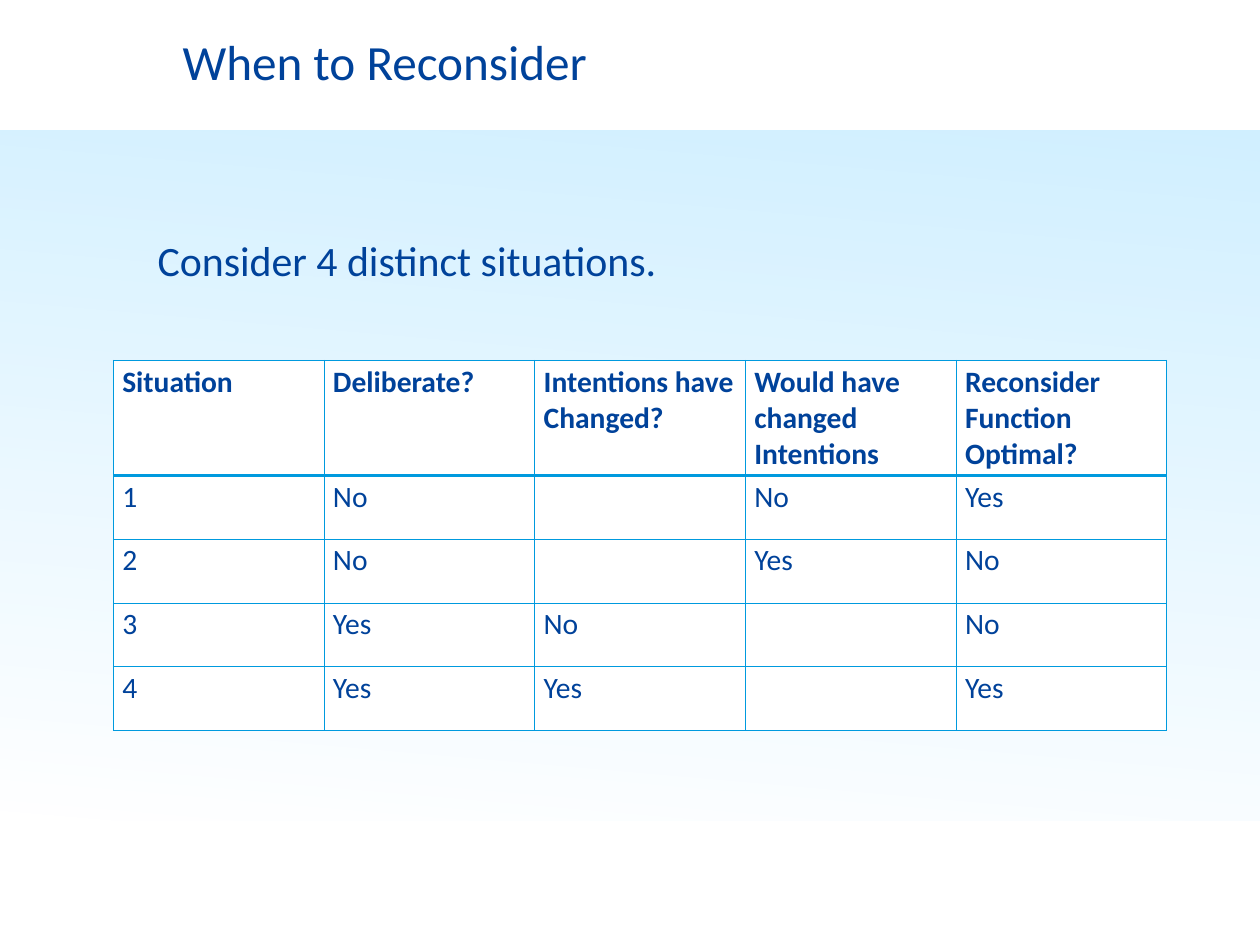
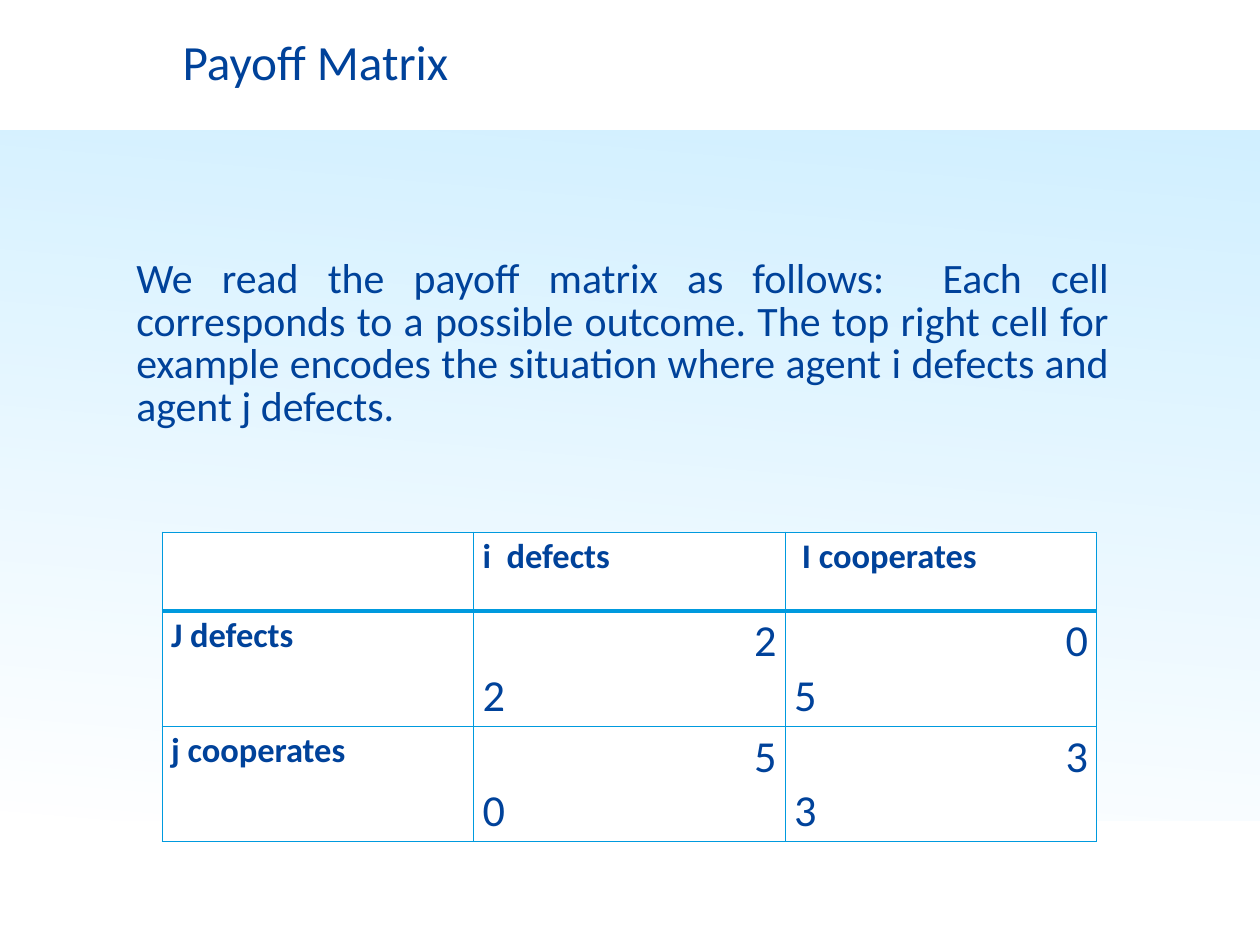
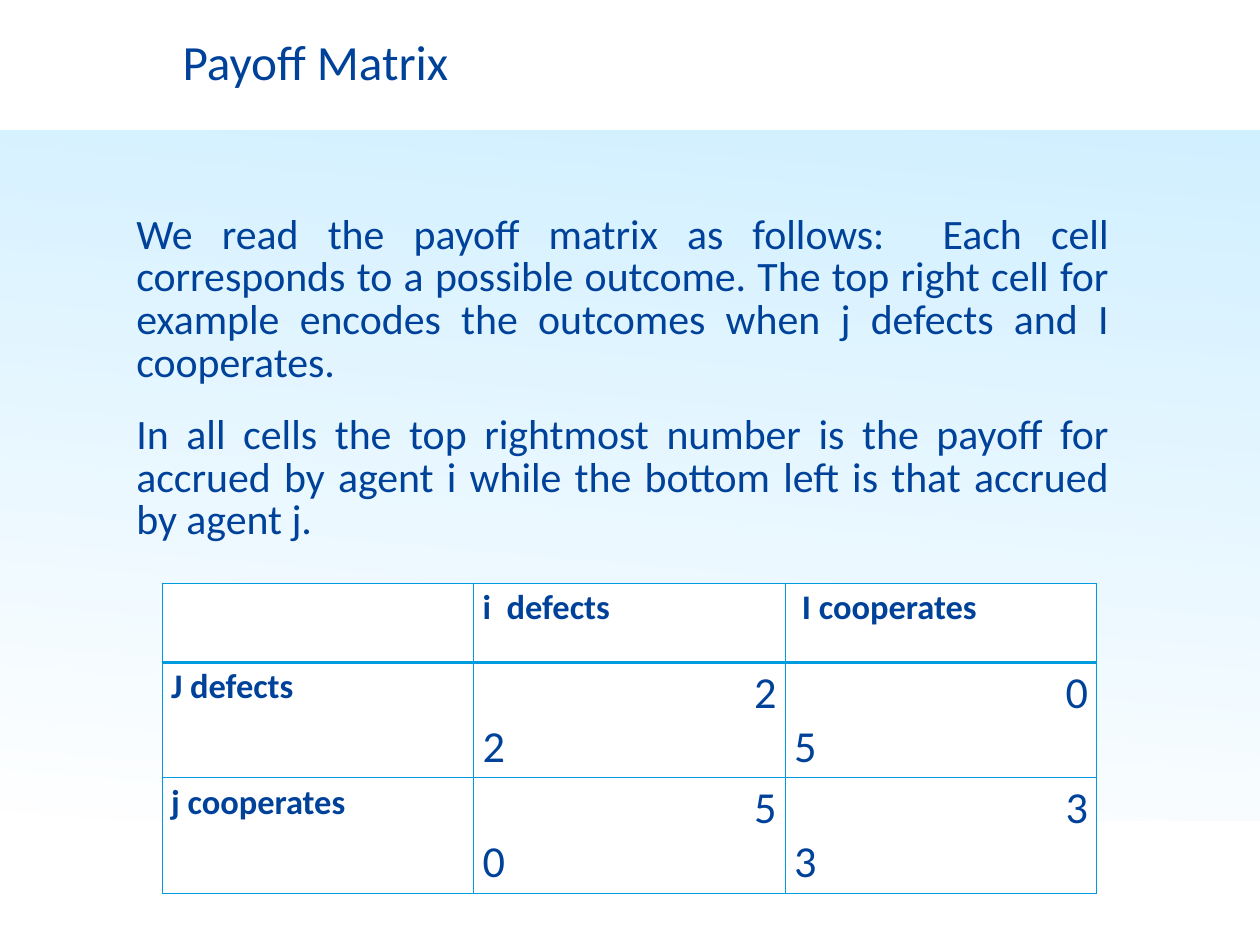
from lxml.etree import SubElement
from pptx import Presentation
from pptx.dml.color import RGBColor
from pptx.enum.shapes import MSO_SHAPE
from pptx.enum.text import MSO_ANCHOR, MSO_AUTO_SIZE, PP_ALIGN
from pptx.oxml.ns import qn
from pptx.util import Inches, Pt

COLORS = {"text": "00429A", "border": "009ADE", "sky": "66CCFF", "white": "FFFFFF"}
FONT = "Calibri"
SLIDE_WIDTH, SLIDE_HEIGHT = 14.22, 10.67
TITLE_AREA = (2, 0.29, 10.27, 0.78)


def color(name):
    return RGBColor.from_string(COLORS[name])


def place(shape, area):
    shape.left, shape.top, shape.width, shape.height = map(Inches, area)


class SlideBuilder:
    def __init__(self):
        self.deck = Presentation()
        self.deck.slide_width = Inches(SLIDE_WIDTH)
        self.deck.slide_height = Inches(SLIDE_HEIGHT)
        self.layout = self.deck.slide_layouts[5]
        self.page = None
        for holder in list(self.layout.placeholders):
            if holder.placeholder_format.idx == 0:
                place(holder, TITLE_AREA)
            else:
                self.layout.shapes.element.remove(holder.element)

    def add_page(self, title):
        first = self.page is None
        self.page = self.deck.slides.add_slide(self.layout)
        if first:
            self.add_background()
        holder = self.page.shapes.title
        place(holder, TITLE_AREA)
        self.fill_text(holder.text_frame, title, 40, margins=(0.06, 0.06))

    def add_background(self):
        band = self.add_rectangle((0, 1.47, SLIDE_WIDTH, 7.8))
        band.fill.gradient()
        band.fill.gradient_angle = 265
        for stop, name, position in zip(band.fill.gradient_stops, ("sky", "white"), (0, 1)):
            stop.color.rgb = color(name)
            stop.position = position
        for node in list(band.element.iter(qn("a:srgbClr"))):
            SubElement(node, qn("a:alpha"), val="30000")
        footer = self.add_rectangle((0.4, 9.38, 13.37, 0.88))
        footer.fill.solid()
        footer.fill.fore_color.rgb = color("white")
        for index, shape in enumerate((band, footer)):
            self.layout.shapes.element.insert(2 + index, shape.element)

    def add_rectangle(self, area):
        shape = self.page.shapes.add_shape(MSO_SHAPE.RECTANGLE, *map(Inches, area))
        shape.shadow.inherit = False
        shape.line.fill.background()
        return shape

    def fill_text(self, frame, text, size, margins, align=PP_ALIGN.LEFT):
        frame.text = text
        frame.word_wrap = True
        frame.auto_size = MSO_AUTO_SIZE.NONE
        frame.vertical_anchor = MSO_ANCHOR.TOP
        frame.margin_left = frame.margin_right = Inches(margins[0])
        frame.margin_top = frame.margin_bottom = Inches(margins[1])
        for para in frame.paragraphs:
            para.alignment = align
            self.format_runs(para, size)

    def format_runs(self, para, size, bold=False):
        for span in para.runs:
            span.font.name = FONT
            span.font.size = Pt(size)
            span.font.bold = bold
            span.font.color.rgb = color("text")

    def add_body(self, area, text):
        box = self.page.shapes.add_textbox(*map(Inches, area))
        self.fill_text(box.text_frame, text, 34, (0.1, 0.04), PP_ALIGN.JUSTIFY)
        for index, para in enumerate(box.text_frame.paragraphs):
            para.line_spacing = 0.85
            if index:
                para.space_before = Pt(24)

    def add_grid(self, position, width, heights, rows, style_cell):
        columns = len(rows[0])
        frame = self.page.shapes.add_table(
            len(rows), columns, *map(Inches, (*position, width, sum(heights))))
        table = frame.table
        table.first_row = table.horz_banding = False
        for column in table.columns:
            column.width = Inches(width / columns)
        for row_index, (height, values) in enumerate(zip(heights, rows)):
            table.rows[row_index].height = Inches(height)
            for column_index, text in enumerate(values):
                cell = table.cell(row_index, column_index)
                cell.text_frame.text = text
                cell.margin_left = cell.margin_right = Inches(0.1)
                cell.margin_top = cell.margin_bottom = Inches(0.04)
                self.add_borders(cell, row_index)
                cell.fill.solid()
                cell.fill.fore_color.rgb = color("white")
                size, bold, first_align = style_cell(row_index, column_index)
                for para in cell.text_frame.paragraphs:
                    para.alignment = PP_ALIGN.LEFT
                    self.format_runs(para, size, bold)
                cell.text_frame.paragraphs[0].alignment = first_align

    def add_borders(self, cell, row_index):
        properties = cell._tc.get_or_add_tcPr()
        thick = {(0, "B"), (1, "T")}
        for side in "LRTB":
            width = Pt(3 if (row_index, side) in thick else 1)
            line = SubElement(properties, qn(f"a:ln{side}"), w=str(width))
            fill = SubElement(line, qn("a:solidFill"))
            SubElement(fill, qn("a:srgbClr"), val=COLORS["border"])


def situation_style(row, column):
    return 24, row == 0, PP_ALIGN.LEFT


def payoff_style(row, column):
    if row == 0 or column == 0:
        return 28, True, PP_ALIGN.LEFT
    return 36, False, PP_ALIGN.RIGHT


SITUATIONS = [
    ("Situation", "Deliberate?", "Intentions have Changed?",
     "Would have changed Intentions", "Reconsider Function\nOptimal?"),
    ("1", "No", "", "No", "Yes"),
    ("2", "No", "", "Yes", "No"),
    ("3", "Yes", "No", "", "No"),
    ("4", "Yes", "Yes", "", "Yes"),
]
PAYOFFS = [
    ("", "i  defects", " I cooperates"),
    ("J defects", "2\n2", "0\n5"),
    ("j cooperates", "5\n0", "3\n3"),
]
READING = ("We read the payoff matrix as follows:  Each cell corresponds to a possible "
           "outcome. The top right cell for example encodes the ")
PAYOFF_PAGES = [
    (2.89, 2.1, 6.01, READING + "situation where agent i defects and agent j defects."),
    (2.39, 3.9, 6.59, READING + "outcomes when j defects and I cooperates.\n"
     "In all cells the top rightmost number is the payoff for accrued by agent i "
     "while the bottom left is that accrued by agent j."),
]


def main():
    builder = SlideBuilder()
    builder.add_page("When to Reconsider")
    builder.add_body((1.68, 2.7, 6.5, 0.6), "Consider 4 distinct situations.")
    builder.add_grid((1.28, 4.07), 11.89, [1.3] + [0.72] * 4, SITUATIONS, situation_style)
    for body_top, body_height, table_top, text in PAYOFF_PAGES:
        builder.add_page("Payoff Matrix")
        builder.add_body((1.44, body_top, 11.18, body_height), text)
        builder.add_grid((1.83, table_top), 10.55, [0.89, 1.3, 1.3], PAYOFFS, payoff_style)
    builder.deck.save("out.pptx")


if __name__ == "__main__":
    main()
